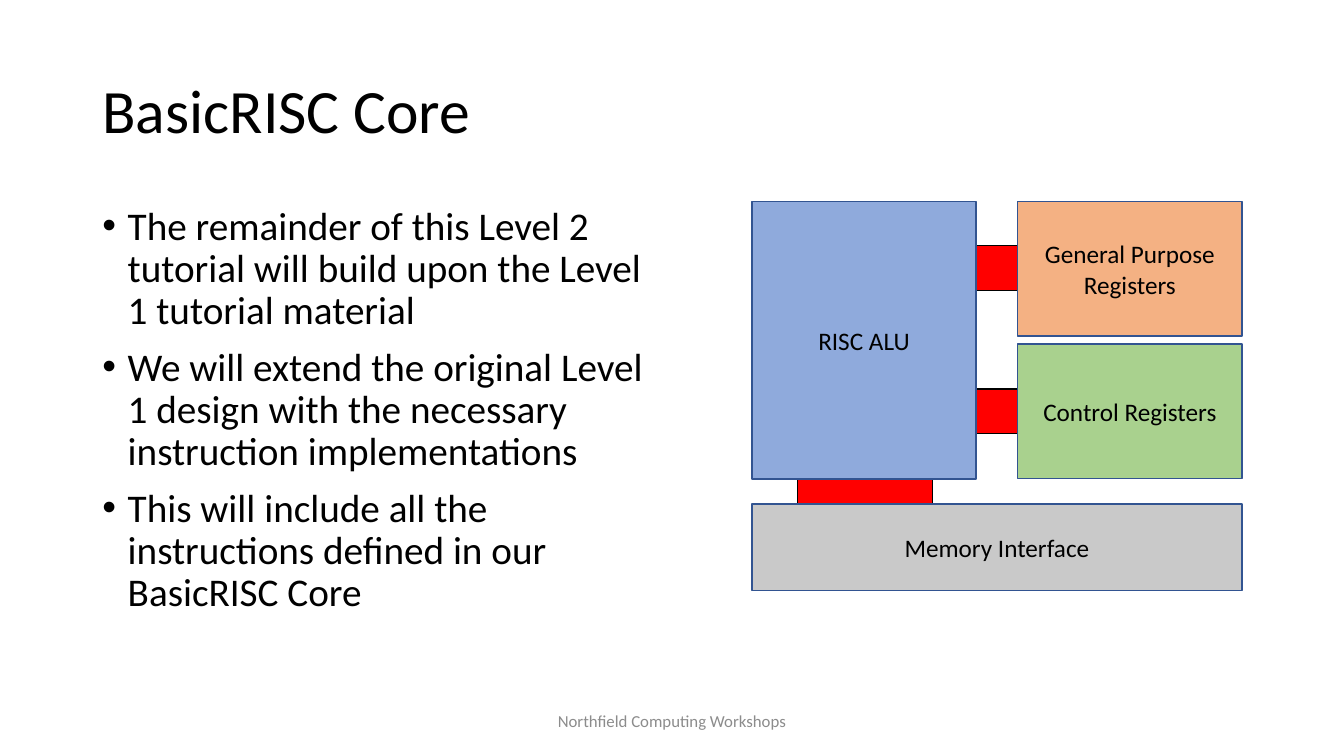
from pptx import Presentation
from pptx.dml.color import RGBColor
from pptx.enum.shapes import MSO_SHAPE
from pptx.enum.text import MSO_ANCHOR, PP_ALIGN
from pptx.util import Cm, Pt
from lxml.etree import SubElement
from pptx.oxml.ns import qn


def style(para, size, color, align):
    para.alignment = align
    for run in para.runs:
        run.font.name = "Calibri"
        run.font.size = Pt(size)
        run.font.color.rgb = RGBColor.from_string(color)


def block(left, top, width, height, fill, line, text=""):
    box = slide.shapes.add_shape(MSO_SHAPE.RECTANGLE, Cm(left), Cm(top), Cm(width), Cm(height))
    box.shadow.inherit = False
    box.fill.solid()
    box.fill.fore_color.rgb = RGBColor.from_string(fill)
    box.line.color.rgb = RGBColor.from_string(line)
    box.line.width = Pt(1)
    if text:
        frame = box.text_frame
        frame.text = text
        frame.word_wrap = True
        frame.vertical_anchor = MSO_ANCHOR.MIDDLE
        style(frame.paragraphs[0], 18, "000000", PP_ALIGN.CENTER)


deck = Presentation()
deck.slide_width, deck.slide_height = Cm(33.87), Cm(19.05)
slide = deck.slides.add_slide(deck.slide_layouts[5])

title = slide.shapes.title
title.left, title.top, title.width, title.height = Cm(2.33), Cm(1.01), Cm(29.21), Cm(3.68)
title.text_frame.text = "BasicRISC Core"
title.text_frame.vertical_anchor = MSO_ANCHOR.MIDDLE
head = title.text_frame.paragraphs[0]
head.line_spacing = 0.9
style(head, 44, "000000", PP_ALIGN.LEFT)

points = [
    "The remainder of this Level 2 tutorial will build upon the Level 1 tutorial material",
    "We will extend the original Level 1 design with the necessary instruction implementations",
    "This will include all the instructions defined in our BasicRISC Core",
]
body = slide.shapes.add_textbox(Cm(2.33), Cm(5.07), Cm(14.4), Cm(12.09)).text_frame
body.word_wrap = True
for index, point in enumerate(points):
    para = body.add_paragraph() if index else body.paragraphs[0]
    para.text = point
    para.line_spacing = 0.9
    para.space_before = Pt(10 if index else 0)
    props = para._p.get_or_add_pPr()
    props.set("marL", str(Cm(0.64)))
    props.set("indent", str(-Cm(0.64)))
    SubElement(props, qn("a:buFont")).set("typeface", "Arial")
    SubElement(props, qn("a:buChar")).set("char", "•")
    style(para, 28, "000000", PP_ALIGN.LEFT)

foot = slide.shapes.add_textbox(Cm(11.22), Cm(17.66), Cm(11.43), Cm(1.01)).text_frame
foot.word_wrap = True
foot.vertical_anchor = MSO_ANCHOR.MIDDLE
foot.text = "Northfield Computing Workshops"
style(foot.paragraphs[0], 12, "8C8C8C", PP_ALIGN.CENTER)

for left, top in [(20.1, 11.84), (23.42, 9.8), (23.42, 6.19)]:
    block(left, top, 3.4, 1.13, "FF0000", "000000")

parts = [
    (18.95, 5.08, 5.65, 6.99, "8FAADC", "RISC ALU"),
    (25.65, 5.08, 5.65, 3.39, "F4B183", "General Purpose Registers"),
    (25.65, 8.67, 5.65, 3.39, "A9D18E", "Control Registers"),
    (18.95, 12.7, 12.35, 2.18, "C9C9C9", "Memory Interface"),
]
for left, top, width, height, fill, text in parts:
    block(left, top, width, height, fill, "325491", text)

deck.save("out.pptx")
